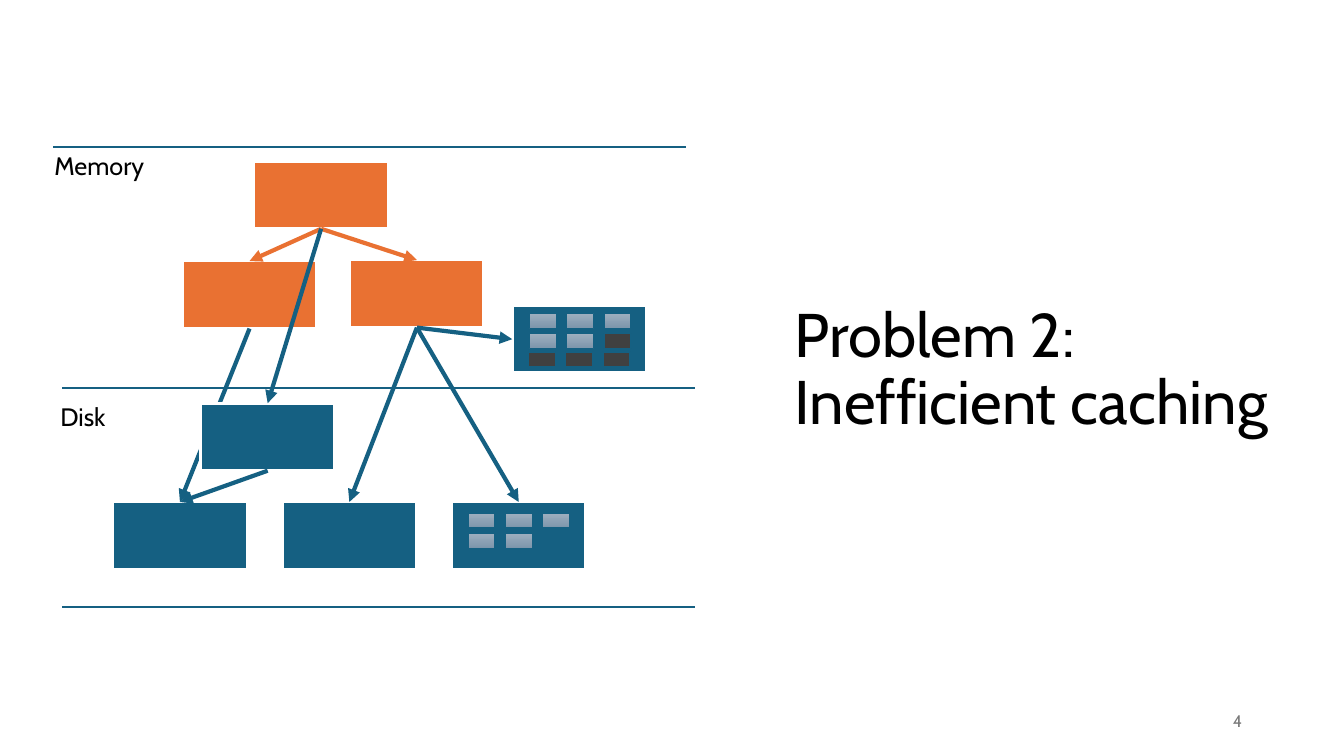
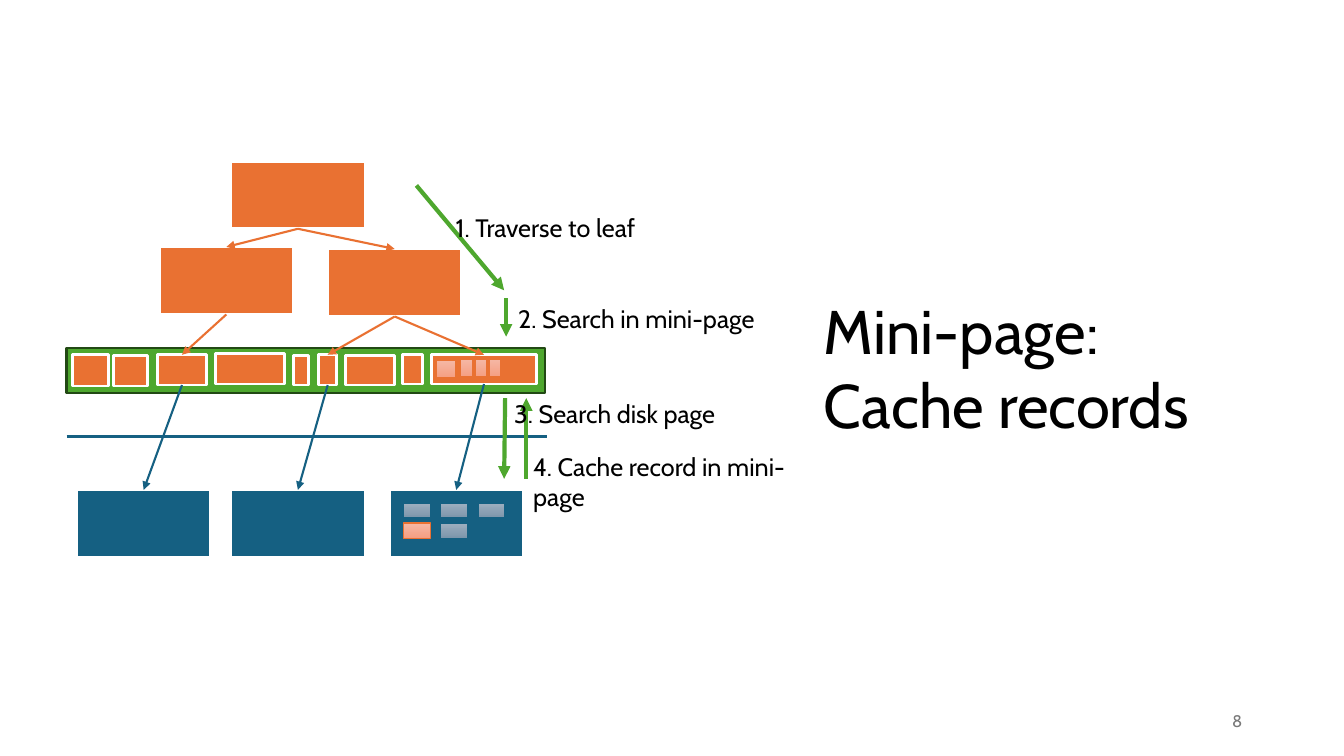
import pptx
import pptx.util
import pptx.dml.color
import pptx.enum.shapes
import pptx.enum.text
import pptx.oxml
import pptx.oxml.ns
from pptx.util import Inches

FONT = "Cabin"
ORANGE, BLUE, GREEN = "E97132", "156082", "4EA72E"
WHITE, BLACK, GREY, DARK, DARK_GREEN = "FFFFFF", "000000", "797979", "404040", "224914"
NODE_W, NODE_H = 1.33, 0.67
RECORD_W, RECORD_H, RECORD_STEP = 0.27, 0.15, 0.37
TOP, LEFT, BOTTOM = 0, 1, 2

# Record looks: fill (a pair is a vertical gradient) and outline
RECORDS = {
    "g": (("9EAFBF", "7C95AB"), BLUE),
    "d": (DARK, BLUE),
    "o": (("F5B8A5", "F59E82"), ORANGE),
}


def rgb(code):
    return pptx.dml.color.RGBColor.from_string(code)


# Shapes
def box(s, x, y, w, h, fill, line=WHITE, weight=2):
    sp = s.shapes.add_shape(pptx.enum.shapes.MSO_SHAPE.RECTANGLE,
                            Inches(x), Inches(y), Inches(w), Inches(h))
    sp.shadow.inherit = False
    if isinstance(fill, tuple):
        sp.fill.gradient()
        sp.fill.gradient_angle = 270
        for stop, code in zip(sp.fill.gradient_stops, fill):
            stop.color.rgb = rgb(code)
    else:
        sp.fill.solid()
        sp.fill.fore_color.rgb = rgb(fill)
    sp.line.color.rgb = rgb(line)
    sp.line.width = pptx.util.Pt(weight)
    return sp


def node(s, x, y, fill):
    return box(s, x, y, NODE_W, NODE_H, fill)


def record_row(s, x, y, kinds):
    for i, kind in enumerate(kinds):
        fill, line = RECORDS[kind]
        box(s, x + i * RECORD_STEP, y, RECORD_W, RECORD_H, fill, line, 1)


# Lines
def line(s, start, end, color, weight=1.5, arrow=False):
    cn = s.shapes.add_connector(pptx.enum.shapes.MSO_CONNECTOR.STRAIGHT,
                                *(Inches(v) for v in (*start, *end)))
    cn.line.color.rgb = rgb(color)
    cn.line.width = pptx.util.Pt(weight)
    props = cn.line._get_or_add_ln()
    if arrow:
        tail = pptx.oxml.ns.qn("a:tailEnd")
        props.append(props.makeelement(tail, {"type": "triangle"}))
    sp_pr = props.getparent()
    sp_pr.append(sp_pr.makeelement(pptx.oxml.ns.qn("a:effectLst"), {}))
    return cn


def link(s, parent, child, color, weight, side=TOP):
    cn = line(s, (0, 0), (1, 1), color, weight, arrow=True)
    cn.begin_connect(parent, BOTTOM)
    cn.end_connect(child, side)


# Text
def add_run(p, text, size, color):
    r = p.add_run()
    r.text = text
    r.font.name = FONT
    r.font.size = pptx.util.Pt(size)
    r.font.color.rgb = rgb(color)


def label(s, x, y, w, h, text, wrap=False):
    tf = s.shapes.add_textbox(Inches(x), Inches(y), Inches(w), Inches(h)).text_frame
    tf.word_wrap = wrap
    tf.auto_size = pptx.enum.text.MSO_AUTO_SIZE.SHAPE_TO_FIT_TEXT
    add_run(tf.paragraphs[0], text, 18, BLACK)


def page_number(s, number):
    tf = s.shapes.add_textbox(Inches(9.42), Inches(6.95), Inches(3), Inches(0.4)).text_frame
    tf.word_wrap = True
    tf.vertical_anchor = pptx.enum.text.MSO_ANCHOR.MIDDLE
    tf.paragraphs[0].alignment = pptx.enum.text.PP_ALIGN.RIGHT
    add_run(tf.paragraphs[0], number, 12, GREY)


def title_slide(prs, place, lines, spacing, number):
    s = prs.slides.add_slide(prs.slide_layouts[5])
    title = s.shapes.title
    title.left, title.top, title.width, title.height = (Inches(v) for v in place)
    tf = title.text_frame
    tf.word_wrap = True
    tf.auto_size = pptx.enum.text.MSO_AUTO_SIZE.NONE
    tf.vertical_anchor = pptx.enum.text.MSO_ANCHOR.TOP
    for i, text in enumerate(lines):
        p = tf.add_paragraph() if i else tf.paragraphs[0]
        p.alignment = pptx.enum.text.PP_ALIGN.LEFT
        p.line_spacing = spacing
        add_run(p, text, 44, BLACK)
    page_number(s, number)
    return s


# Slides
def caching_slide(prs):
    s = title_slide(prs, (7.78, 2.97, 4.93, 1.44),
                    ("Problem 2:", "Inefficient caching"), 0.9, "4")

    # Memory and disk zones
    for x, y in ((0.53, 1.46), (0.62, 3.85), (0.62, 6.02)):
        line(s, (x, y), (x + 6.27, y), BLUE)
    label(s, 0.44, 1.44, 1.09, 0.4, "Memory")
    label(s, 0.5, 3.93, 0.68, 0.4, "Disk")

    # Tree
    root = node(s, 2.52, 1.6, ORANGE)
    left = node(s, 1.81, 2.59, ORANGE)
    right = node(s, 3.47, 2.58, ORANGE)
    pages = [node(s, 1.12 + 1.68 * i, 4.98, BLUE) for i in range(3)]
    for parent, child, color in ((root, left, ORANGE), (root, right, ORANGE),
                                 (left, pages[0], BLUE), (right, pages[1], BLUE),
                                 (right, pages[2], BLUE)):
        link(s, parent, child, color, 3)
    record_row(s, 4.64, 5.09, "ggg")
    record_row(s, 4.64, 5.29, "gg")

    # Page cached in memory
    cached = node(s, 5.08, 3.03, BLUE)
    link(s, right, cached, BLUE, 3, LEFT)
    record_row(s, 5.25, 3.11, "ggg")
    record_row(s, 5.25, 3.31, "ggd")
    record_row(s, 5.24, 3.49, "ddd")

    # Inner node on disk
    inner = node(s, 1.99, 4, BLUE)
    link(s, root, inner, BLUE, 3)
    link(s, inner, pages[0], BLUE, 3)


def mini_page_slide(prs):
    s = title_slide(prs, (8.07, 2.86, 5.03, 1.58),
                    ("Mini-page:", "Cache records"), 1.0, "8")

    # Tree above the mini-page buffer
    box(s, 0.66, 3.45, 4.75, 0.45, GREEN, DARK_GREEN, 1.5)
    root = node(s, 2.29, 1.6, ORANGE)
    left = node(s, 1.58, 2.45, ORANGE)
    right = node(s, 3.25, 2.47, ORANGE)
    pages = [node(s, x, 4.86, BLUE) for x in (0.76, 2.29, 3.86)]
    line(s, (0.66, 4.33), (5.43, 4.33), BLUE)

    # Mini-pages: left, top, width, height
    minis = [box(s, *place, ORANGE) for place in (
        (0.72, 3.52, 0.36, 0.31), (1.13, 3.53, 0.33, 0.3), (1.56, 3.52, 0.49, 0.3),
        (2.14, 3.51, 0.68, 0.3), (2.91, 3.53, 0.15, 0.29), (3.16, 3.52, 0.18, 0.3),
        (3.43, 3.53, 0.48, 0.29), (3.99, 3.52, 0.2, 0.29), (4.28, 3.52, 1.04, 0.29))]
    linked = [minis[i] for i in (2, 5, 8)]
    for child in (left, right):
        link(s, root, child, ORANGE, 1.5)
    for parent, mini, page in zip((left, right, right), linked, pages):
        link(s, parent, mini, ORANGE, 1.5)
        link(s, mini, page, BLUE, 1.5)

    # Records in the last mini-page and its disk page
    fill, outline = RECORDS["o"]
    box(s, 4.33, 3.57, 0.19, 0.18, fill, outline, 1)
    for i in range(3):
        box(s, 4.57 + 0.14 * i, 3.56, 0.12, 0.18, fill, outline, 1)
    record_row(s, 4, 4.99, "ggg")
    record_row(s, 4, 5.19, "og")

    # Steps
    for start, end in (((4.13, 1.84), (5, 2.88)), ((5.02, 2.96), (5.02, 3.34)),
                       ((5.01, 3.95), (5, 4.75)), ((5.22, 4.75), (5.22, 3.95))):
        line(s, start, end, GREEN, 3, arrow=True)
    label(s, 4.42, 2.06, 2.09, 0.4, "1. Traverse to leaf")
    label(s, 5.04, 2.96, 2.61, 0.4, "2. Search in mini-page")
    label(s, 5, 3.9, 2.6, 0.4, "3. Search disk page", wrap=True)
    label(s, 5.19, 4.43, 2.71, 0.71, "4. Cache record in mini-page", wrap=True)


def main():
    prs = pptx.Presentation()
    prs.slide_width, prs.slide_height = Inches(13.33), Inches(7.5)
    caching_slide(prs)
    mini_page_slide(prs)
    prs.save("out.pptx")


if __name__ == "__main__":
    main()
